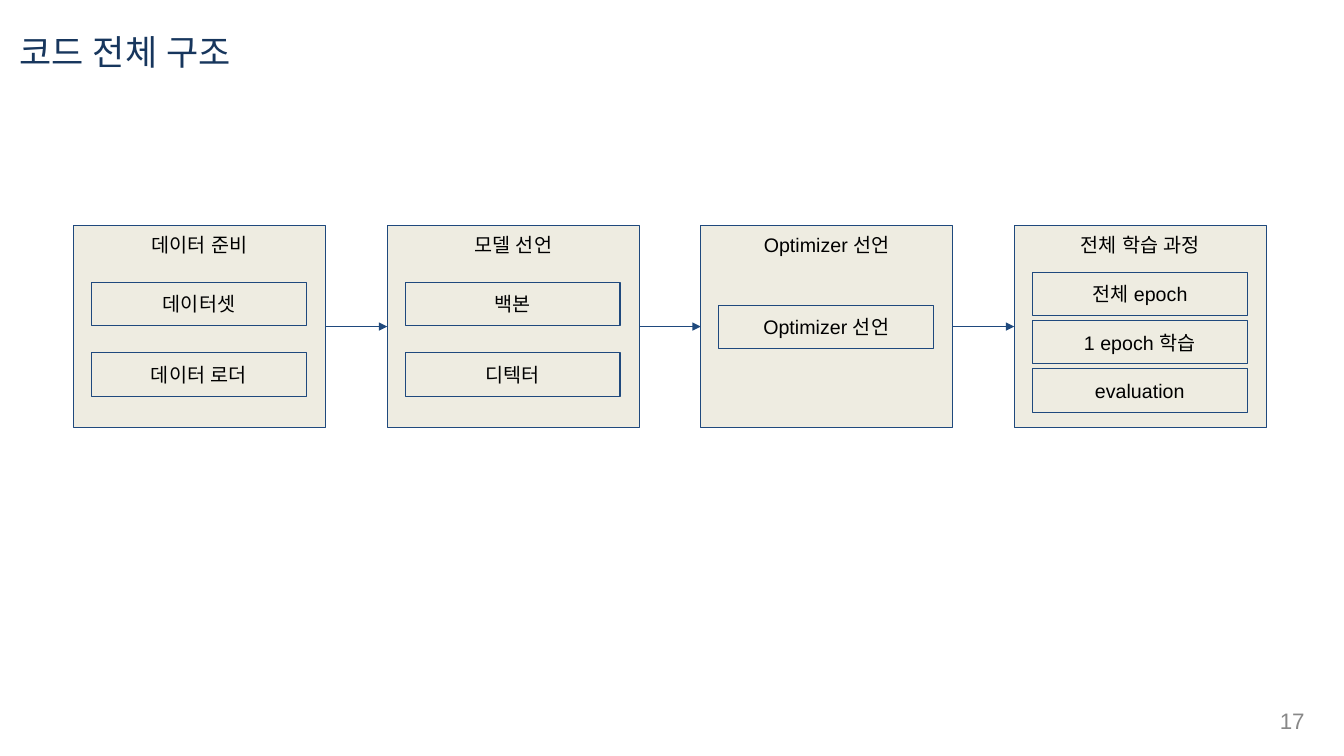
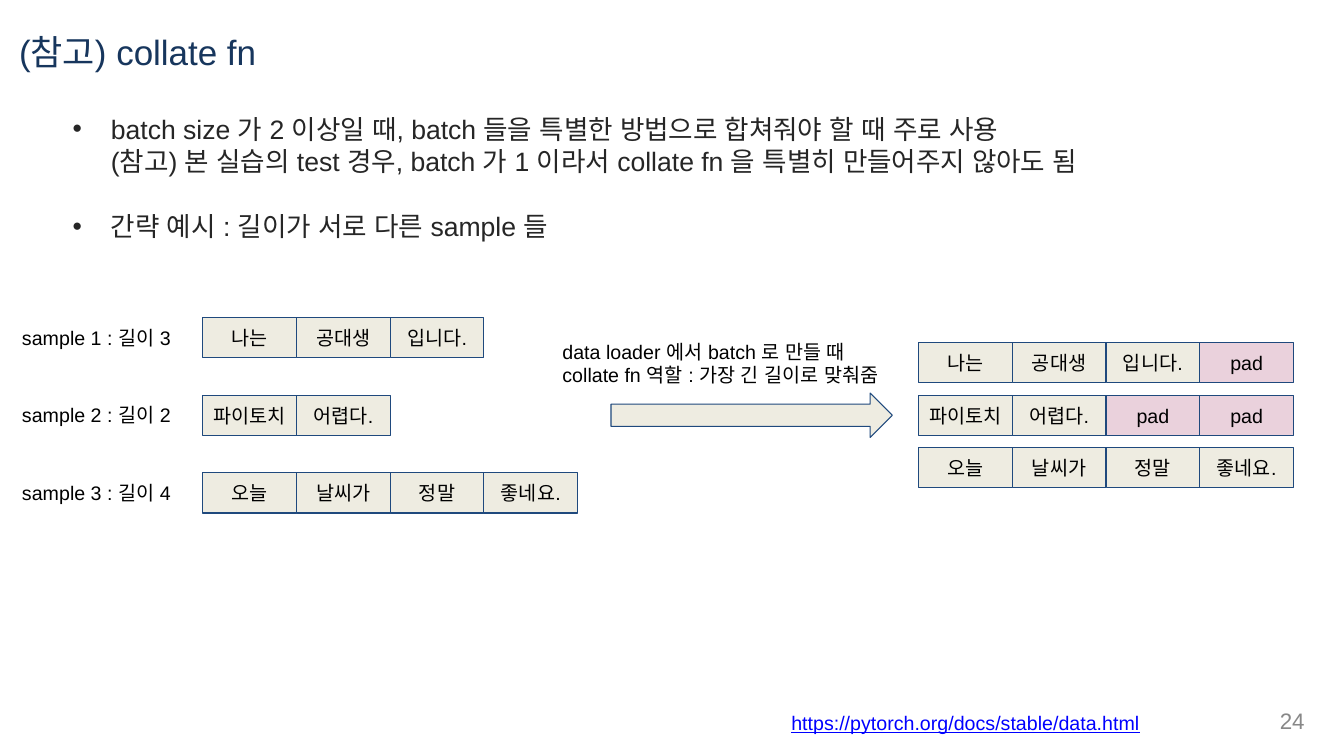
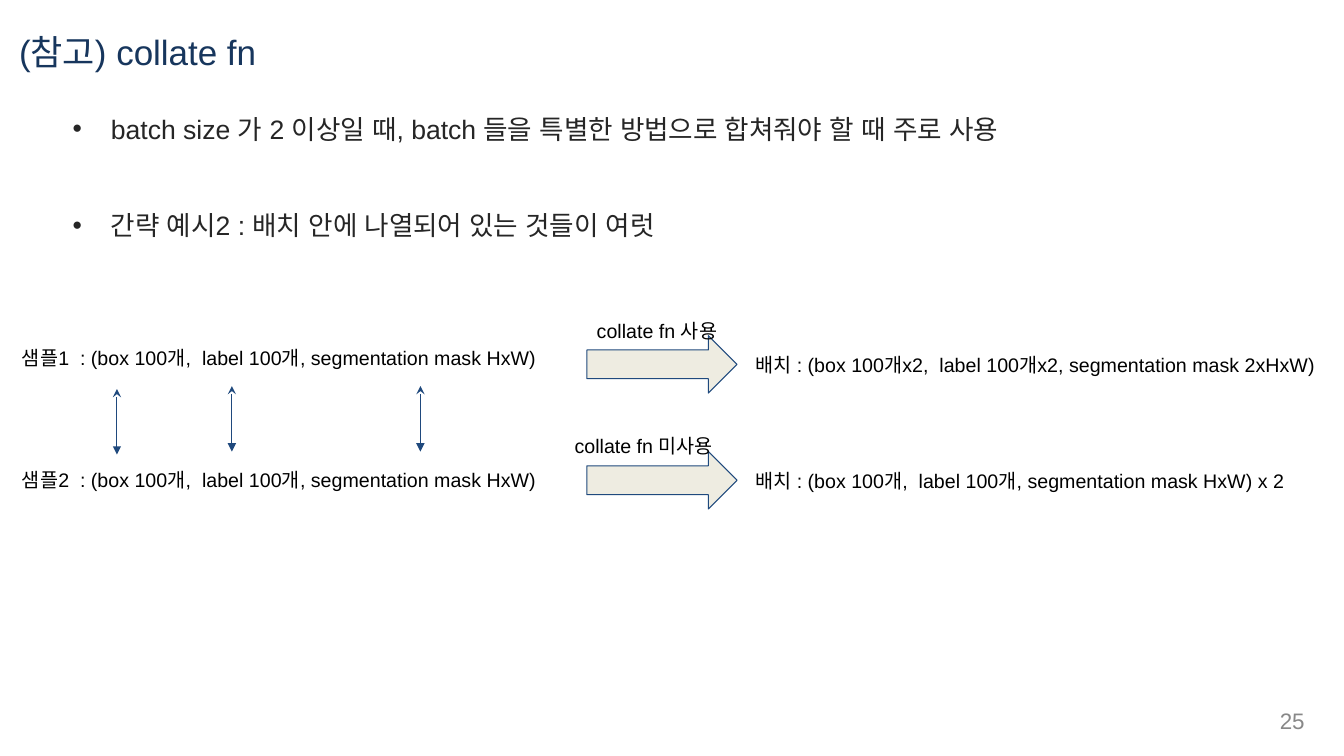
from copy import deepcopy
from dataclasses import dataclass

from lxml import etree
from pptx import Presentation
from pptx import util as u
from pptx.dml.color import RGBColor
from pptx.enum import shapes, text
from pptx.oxml.ns import qn

PX = 9144  # EMU, 100 px to the inch


@dataclass(frozen=True)
class Theme:
    font: str = "Arial"
    navy: str = "17365D"
    edge: str = "1F497D"
    beige: str = "EEECE1"
    pink: str = "EAD1DC"
    black: str = "000000"
    dark: str = "262626"
    grey: str = "888888"
    link: str = "0000FF"
    title_size: int = 25
    list_size: int = 19
    number_size: int = 16
    label_size: int = 14
    line_width: float = 0.75


THEME = Theme()
LEFT, CENTER, RIGHT = text.PP_ALIGN.LEFT, text.PP_ALIGN.CENTER, text.PP_ALIGN.RIGHT
TOP, MIDDLE = text.MSO_ANCHOR.TOP, text.MSO_ANCHOR.MIDDLE
LAYOUT_LIST, LAYOUT_TITLE = 1, 5


def px(*lengths):
    return [u.Emu(length * PX) for length in lengths]


def rgb(color):
    return RGBColor.from_string(color)


def write(frame, lines, size=THEME.label_size, color=THEME.black, align=LEFT,
          anchor=TOP, inset=(10, 10), underline=None, gap=0, hanging=None):
    """Fill a text frame; gap is in points, hanging is (margin, indent) in px."""
    frame.word_wrap = True
    frame.auto_size = text.MSO_AUTO_SIZE.NONE
    frame.vertical_anchor = anchor
    frame.margin_left = frame.margin_right = inset[0] * PX
    frame.margin_top = frame.margin_bottom = inset[1] * PX
    for index, line in enumerate([lines] if isinstance(lines, str) else lines):
        paragraph = frame.add_paragraph() if index else frame.paragraphs[0]
        paragraph.text = line
        paragraph.alignment = align
        paragraph.space_before = u.Pt(gap if index else 0)
        if hanging:
            properties = paragraph._p.get_or_add_pPr()
            for name, length in zip(("marL", "indent"), hanging):
                properties.set(name, str(length * PX))
        for run in paragraph.runs:
            run.font.size = u.Pt(size)
            run.font.name = THEME.font
            run.font.color.rgb = rgb(color)
            run.font.underline = underline
            etree.SubElement(run._r.rPr, qn("a:ea"), typeface=THEME.font)
        for line_break in paragraph._p.findall(qn("a:br")):
            line_break.insert(0, deepcopy(paragraph.runs[0]._r.rPr))


class Deck:
    def __init__(self):
        self.prs = Presentation()
        self.prs.slide_width, self.prs.slide_height = px(1333, 750)
        self.slide = None

    def new_slide(self, title, number, layout):
        self.slide = self.prs.slides.add_slide(self.prs.slide_layouts[layout])
        self.placeholder(self.slide.shapes.title, (6, 9, 1200, 84), title,
                         size=THEME.title_size, color=THEME.navy, anchor=MIDDLE)
        self.label(996, 695, 311, str(number), height=40, inset=(13, 7),
                   size=THEME.number_size, color=THEME.grey, align=RIGHT, anchor=MIDDLE)

    def placeholder(self, holder, place, lines, **style):
        holder.left, holder.top, holder.width, holder.height = px(*place)
        write(holder.text_frame, lines, inset=(13, 7), **style)

    def bullets(self, lines, gap):
        self.placeholder(self.slide.placeholders[1], (47, 105, 1239, 163), lines, gap=gap,
                         size=THEME.list_size, color=THEME.dark, hanging=(50, -38))

    def label(self, left, top, width, lines, height=44, **style):
        box = self.slide.shapes.add_textbox(*px(left, top, width, height))
        write(box.text_frame, lines, **style)

    def shape(self, kind, left, top, width, height, fill=THEME.beige):
        shape = self.slide.shapes.add_shape(kind, *px(left, top, width, height))
        shape.shadow.inherit = False
        shape.fill.solid()
        shape.fill.fore_color.rgb = rgb(fill)
        shape.line.color.rgb = rgb(THEME.edge)
        shape.line.width = u.Pt(THEME.line_width)
        return shape

    def box(self, left, top, width, height, caption, fill=THEME.beige, anchor=MIDDLE):
        box = self.shape(shapes.MSO_SHAPE.RECTANGLE, left, top, width, height, fill)
        write(box.text_frame, caption, align=CENTER, anchor=anchor, inset=(5, 7))
        return box

    def block_arrow(self, left, top, width, height):
        self.shape(shapes.MSO_SHAPE.RIGHT_ARROW, left, top, width, height)

    def arrow(self, start=(0, 0), end=(0, 0), head=None):
        line = self.slide.shapes.add_connector(shapes.MSO_CONNECTOR.STRAIGHT, *px(*start, *end))
        line.line.color.rgb = rgb(THEME.edge)
        line.line.width = u.Pt(THEME.line_width)
        stroke = line.line._get_or_add_ln()
        if head:
            etree.SubElement(stroke, qn("a:headEnd"), type=head)
        etree.SubElement(stroke, qn("a:tailEnd"), type="triangle")
        etree.SubElement(line._element.spPr, qn("a:effectLst"))
        return line

    def link(self, source, target):
        """Join the right side of one box to the left side of the next."""
        line = self.arrow()
        line.begin_connect(source, 3)
        line.end_connect(target, 1)

    def token_row(self, left, top, tokens):
        width = 93
        for column, token in enumerate(tokens):
            fill = THEME.pink if token == "pad" else THEME.beige
            self.box(left + column * width, top, width, 40, token, fill)


def code_structure(deck):
    deck.new_slide("코드 전체 구조", 17, LAYOUT_TITLE)
    stages = [  # heading, top of first step, distance between steps, steps
        ("데이터 준비", 280, 70, ["데이터셋", "데이터 로더"]),
        ("모델 선언", 280, 70, ["백본", "디텍터"]),
        ("Optimizer 선언", 303, 0, ["Optimizer 선언"]),
        ("전체 학습 과정", 270, 48, ["전체 epoch", "1 epoch 학습", "evaluation"]),
    ]
    previous = None
    for column, (heading, top, pitch, steps) in enumerate(stages):
        left = 73 + column * 311
        stage = deck.box(left, 224, 250, 200, heading, anchor=TOP)
        for row, step in enumerate(steps):
            deck.box(left + 18, top + row * pitch, 213, 43, step)
        if previous:
            deck.link(previous, stage)
        previous = stage


def padding_example(deck):
    deck.new_slide("(참고) collate fn", 24, LAYOUT_LIST)
    deck.bullets([
        "batch size 가 2 이상일 때, batch 들을 특별한 방법으로 합쳐줘야 할 때 주로 사용\v"
        "(참고) 본 실습의 test 경우, batch 가 1 이라서 collate fn 을 특별히 만들어주지 않아도 됨",
        "간략 예시 : 길이가 서로 다른 sample 들",
    ], gap=24)
    samples = [["나는", "공대생", "입니다."],
               ["파이토치", "어렵다."],
               ["오늘", "날씨가", "정말", "좋네요."]]
    longest = max(map(len, samples))
    for row, tokens in enumerate(samples):
        sample_top = 315 + row * 77
        deck.label(12, sample_top - 2, 174, f"sample {row + 1} : 길이 {len(tokens)}")
        deck.token_row(201, sample_top, tokens)
        padding = ["pad"] * (longest - len(tokens))
        deck.token_row(911, 340 + row * 52, tokens + padding)
    deck.label(548, 327, 357, ["data loader 에서 batch 로 만들 때",
                               "collate fn 역할 : 가장 긴 길이로 맞춰줌"], height=67)
    deck.block_arrow(606, 390, 279, 44)
    deck.label(775, 695, 484, "https://pytorch.org/docs/stable/data.html",
               color=THEME.link, underline=True)


def batch_example(deck):
    deck.new_slide("(참고) collate fn", 25, LAYOUT_LIST)
    deck.bullets([
        "batch size 가 2 이상일 때, batch 들을 특별한 방법으로 합쳐줘야 할 때 주로 사용",
        "간략 예시2 : 배치 안에 나열되어 있는 것들이 여럿",
    ], gap=46)
    fields = "(box 100개,  label 100개, segmentation mask HxW)"
    cases = [
        ("collate fn 사용", 149,
         "배치 : (box 100개x2,  label 100개x2, segmentation mask 2xHxW)"),
        ("collate fn 미사용", 171, f"배치 : {fields} x 2"),
    ]
    for row, (usage, usage_width, batch) in enumerate(cases):
        arrow_top = 333 + row * 115
        deck.label(12, 333 + row * 121, 577, f"샘플{row + 1}  : {fields}")
        deck.block_arrow(582, arrow_top, 149, 57)
        deck.label(731 - usage_width, arrow_top - 27, usage_width, usage)
        deck.label(739, arrow_top + 7, 587, batch)
    for x, top in [(116, 386), (230, 383), (417, 383)]:
        deck.arrow((x, top), (x, top + 65), head="stealth")


def main():
    deck = Deck()
    for build in (code_structure, padding_example, batch_example):
        build(deck)
    deck.prs.save("out.pptx")


if __name__ == "__main__":
    main()
